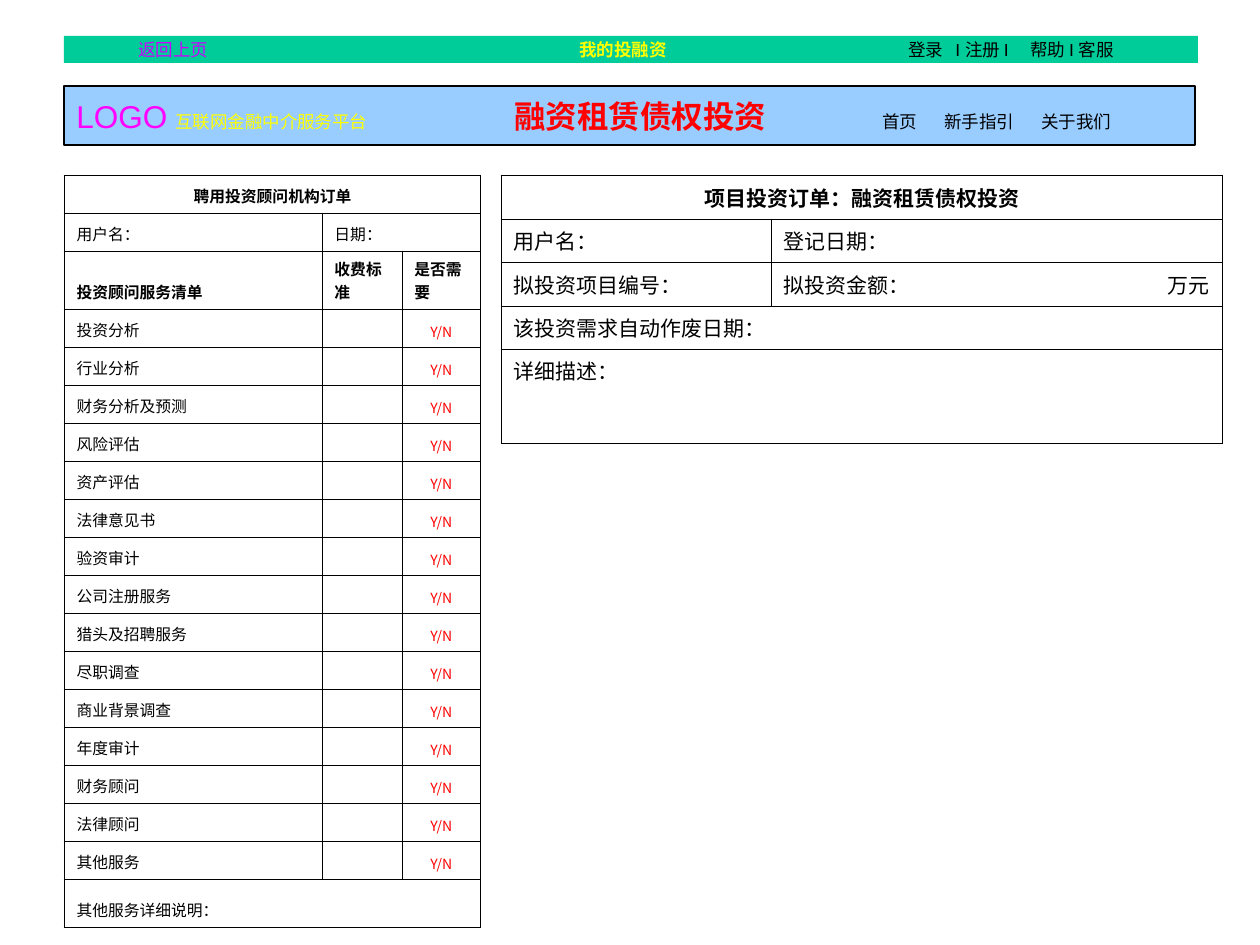
from lxml.etree import SubElement
from pptx import Presentation
from pptx.dml.color import RGBColor
from pptx.enum.shapes import MSO_SHAPE
from pptx.enum.text import MSO_ANCHOR, PP_ALIGN
from pptx.oxml.ns import qn
from pptx.util import Emu, Pt

CJK = "Noto Sans CJK SC"
BLACK, WHITE, RED, YELLOW = "000000", "FFFFFF", "FF0000", "FFFF00"

# Bars: runs are (text, size, colour, bold); tabs are px from the text edge
BARS = [
    dict(box=(64, 36, 1134, 27), fill="00CC99", line=None,
         tabs=(62, 503, 832, 879, 954),
         runs=[("\t返回上页", 10, "CC00FF", False),
               ("\t我的投融资", 10, YELLOW, True),
               ("\t登录\tI 注册 I\t帮助 I 客服", 10, BLACK, False)]),
    dict(box=(64, 86, 1131, 59), fill="99CCFF", line=BLACK,
         tabs=(99, 438, 806, 868, 965),
         runs=[("LOGO", 18, "FF00FF", False),
               ("\t互联网金融中介服务平台", 10, YELLOW, False),
               ("\t融资租赁债权投资", 18, RED, True),
               ("\t首页\t新手指引\t关于我们", 10, BLACK, False)]),
]

# Tables: each row is (columns that have a vertical rule, cells);
# each cell is (column, span, text, style)
SERVICES = [
    ("投资分析", 1), ("行业分析", 1), ("财务分析及预测", 2), ("风险评估", 1),
    ("资产评估", 1), ("法律意见书", 2), ("验资审计", 1), ("公司注册服务", 2),
    ("猎头及招聘服务", 2), ("尽职调查", 2), ("商业背景调查", 2), ("年度审计", 1),
    ("财务顾问", 2), ("法律顾问", 2), ("其他服务", 1),
]
ADVISER_ROWS = [
    ((0, 5), [(0, 5, "聘用投资顾问机构订单", "title")]),
    ((0, 3, 5), [(0, 3, "用户名：", "text"), (3, 2, "日期：", "text")]),
    ((0, 3, 4, 5), [(0, 2, "投资顾问服务清单", "bold"),
                    (3, 1, "收费标准", "bold"), (4, 1, "是否需要", "bold")]),
    *[((0, 3, 4, 5), [(0, span, service, "text"), (4, 1, "Y/N", "choice")])
      for service, span in SERVICES],
    ((0, 5), [(0, 3, "其他服务详细说明：", "text")]),
]
ORDER_ROWS = [
    ((0, 8), [(0, 8, "项目投资订单：融资租赁债权投资", "title")]),
    ((0, 2, 8), [(0, 2, "用户名：", "text"), (2, 2, "登记日期：", "text")]),
    ((0, 2, 8), [(0, 2, "拟投资项目编号：", "text"),
                 (2, 2, "拟投资金额：", "text"), (7, 1, "万元", "text")]),
    ((0, 8), [(0, 4, "该投资需求自动作废日期：", "text")]),
    ((0, 8), [(0, 1, "详细描述：", "top"), (1, 2, "", "text")]),
]
TABLES = [
    dict(at=(64, 175), size=9, rows=ADVISER_ROWS, columns=[110, 49, 99, 80, 79],
         heights=[38, 38, 58] + [38] * len(SERVICES) + [48]),
    dict(at=(501, 175), size=12, rows=ORDER_ROWS,
         columns=[160, 110, 132, 48] + [68] * 4, heights=[44, 43, 44, 43, 94]),
]


def px(value):
    return Emu(round(value * 914400 / 126))


def colour(hex_string):
    return RGBColor.from_string(hex_string)


def add_run(paragraph, text, size, hex_string, bold, latin):
    run = paragraph.add_run()
    run.text = text
    font = run.font
    font.size, font.bold, font.name = Pt(size), bold, latin
    font.color.rgb = colour(hex_string)
    SubElement(font._element, qn("a:ea"), typeface=CJK)


def add_bar(slide, bar):
    shape = slide.shapes.add_shape(MSO_SHAPE.RECTANGLE, *map(px, bar["box"]))
    shape.shadow.inherit = False
    shape.fill.solid()
    shape.fill.fore_color.rgb = colour(bar["fill"])
    if bar["line"]:
        shape.line.color.rgb = colour(bar["line"])
        shape.line.width = Pt(0.75)
    else:
        shape.line.fill.background()
    frame = shape.text_frame
    frame.word_wrap = True
    frame.vertical_anchor = MSO_ANCHOR.MIDDLE
    paragraph = frame.paragraphs[0]
    paragraph.alignment = PP_ALIGN.LEFT
    tab_list = SubElement(paragraph._p.get_or_add_pPr(), qn("a:tabLst"))
    for position in bar["tabs"]:
        SubElement(tab_list, qn("a:tab"), pos=str(px(position)), algn="l")
    for run in bar["runs"]:
        add_run(paragraph, *run, "Arial")


def set_borders(cell, left, right):
    properties = cell._tc.get_or_add_tcPr()
    for side, visible in (("L", left), ("R", right), ("T", True), ("B", True)):
        line = SubElement(properties, qn(f"a:ln{side}"), w=str(Pt(0.45)))
        if visible:
            fill = SubElement(line, qn("a:solidFill"))
            SubElement(fill, qn("a:srgbClr"), val=BLACK)
        else:
            SubElement(line, qn("a:noFill"))


def fill_cell(cell, text, style, size):
    cell.vertical_anchor = MSO_ANCHOR.TOP if style == "top" else MSO_ANCHOR.BOTTOM
    paragraph = cell.text_frame.paragraphs[0]
    if style in ("title", "choice"):
        paragraph.alignment = PP_ALIGN.CENTER
    if not text:  # keeps an empty cell from stretching its row
        SubElement(paragraph._p, qn("a:endParaRPr"), sz=str(size * 100))
    elif style == "choice":
        add_run(paragraph, text, 8, RED, False, CJK)
    else:
        add_run(paragraph, text, size, BLACK, style in ("title", "bold"), CJK)


def add_grid(slide, grid):
    columns, heights = grid["columns"], grid["heights"]
    table = slide.shapes.add_table(
        len(heights), len(columns), *map(px, grid["at"]),
        px(sum(columns)), px(sum(heights))).table
    table.first_row = table.horz_banding = False
    for column, width in zip(table.columns, columns):
        column.width = px(width)
    for row, height in zip(table.rows, heights):
        row.height = px(height)
    for r, (rules, cells) in enumerate(grid["rows"]):
        content = {c: (span, text, style) for c, span, text, style in cells}
        for c in range(len(columns)):
            span, text, style = content.get(c, (1, "", "text"))
            cell = table.cell(r, c)
            if span > 1:
                cell.merge(table.cell(r, c + span - 1))
            set_borders(cell, c in rules, c + span in rules)
            cell.fill.solid()
            cell.fill.fore_color.rgb = colour(WHITE)
            fill_cell(cell, text, style, grid["size"])


def main():
    presentation = Presentation()
    presentation.slide_width, presentation.slide_height = px(1260), px(945)
    slide = presentation.slides.add_slide(presentation.slide_layouts[6])
    for bar in BARS:
        add_bar(slide, bar)
    for grid in TABLES:
        add_grid(slide, grid)
    presentation.save("out.pptx")


if __name__ == "__main__":
    main()
